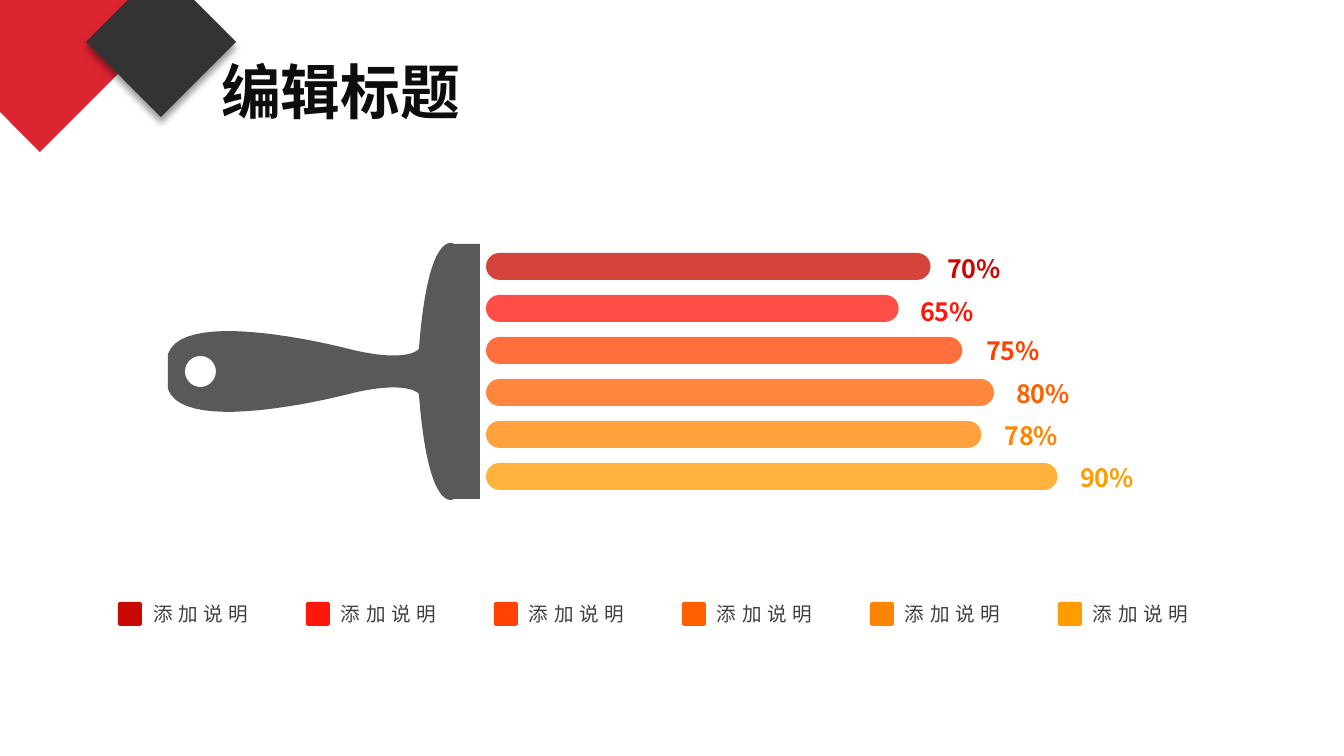
from dataclasses import dataclass
from math import cos, sin, tau

from lxml import etree
from pptx import Presentation
from pptx.dml.color import RGBColor
from pptx.enum.shapes import MSO_SHAPE
from pptx.enum.text import MSO_AUTO_SIZE
from pptx.oxml.ns import qn
from pptx.util import Pt

ROUNDED = MSO_SHAPE.ROUNDED_RECTANGLE
GROW = MSO_AUTO_SIZE.SHAPE_TO_FIT_TEXT
EMU_PER_PX = 914400 / 134.4


@dataclass(frozen=True)
class Theme:
    red: str = "DD2431"
    dark: str = "333333"
    brush: str = "595959"
    title: str = "0D0D0D"
    legend: str = "404040"
    shadow: str = "000000"
    latin: str = "Arial"
    chinese: str = "Noto Sans CJK SC"
    title_size: float = 32
    value_size: float = 13.5
    legend_size: float = 10.5
    bar_opacity: int = 76


THEME = Theme()
PAGE_SIZE = (1344, 756)
TITLE, TITLE_BOX = "编辑标题", (208, 48, 266, 86)

# percent, colour, value label (left, top, width), legend text
BARS = [
    (70, "C80900", (934, 247, 93), "添加说明"),
    (65, "FF170C", (907, 290, 118), "添加说明"),
    (75, "FF4200", (973, 329, 118), "添加说明"),
    (80, "FF6000", (1003, 372, 105), "添加说明"),
    (78, "FF8400", (991, 414, 106), "添加说明"),
    (90, "FF9C00", (1067, 456, 116), "添加说明"),
]
BAR_LEFT, BAR_TOP, BAR_PITCH, BAR_HEIGHT = 486, 253, 42, 27
PX_PER_PERCENT = 6.35
VALUE_HEIGHT = 44
LEGEND_LEFT, LEGEND_TOP, LEGEND_PITCH = 118, 602, 188
SWATCH, LEGEND_GAP, LEGEND_WIDTH = 24, 11, 126

# Upper half of the brush: start, Bezier curves, then the ferrule corners
BRUSH_START = (168, 354)
BRUSH_CURVES = [
    ((185, 305), (353, 350), (353, 350)),
    ((409, 363), (419, 349), (419, 349)),
    ((426, 257), (442, 244), (450, 243)),
    ((453, 243), (454, 244), (454, 244)),
]
BRUSH_CORNER = (480, 244)
BRUSH_MIDDLE = 371.5
HOLE_CENTRE, HOLE_RADIUS = (200.5, BRUSH_MIDDLE), 15.5

# centre x, centre y, half diagonal
RED_DIAMOND = (40, 32, 120)
DARK_DIAMOND = (161, 42, 75)


def emu(*lengths):
    return [round(length * EMU_PER_PX) for length in lengths]


def add_xml(parent, tag, **attributes):
    return etree.SubElement(parent, qn(tag), attributes)


def paint(shape, color, opacity=100):
    shape.shadow.inherit = False
    shape.line.fill.background()
    shape.fill.solid()
    shape.fill.fore_color.rgb = RGBColor.from_string(color)
    if opacity < 100:
        tone = shape.fill._xPr.find(".//" + qn("a:srgbClr"))
        add_xml(tone, "a:alpha", val=str(opacity * 1000))


def add_text(page, text, at, *, size, color, bold=False, latin=THEME.chinese,
             spacing=0, inset=None, wrap=True):
    box = page.shapes.add_textbox(*emu(*at))
    frame = box.text_frame
    frame.word_wrap, frame.auto_size = wrap, GROW
    if inset is not None:
        frame.margin_left = frame.margin_right = inset
        frame.margin_top = frame.margin_bottom = inset
    span = frame.paragraphs[0].add_run()
    span.text = text
    font = span.font
    font.size, font.bold, font.name = Pt(size), bold, latin
    font.color.rgb = RGBColor.from_string(color)
    properties = span._r.get_or_add_rPr()
    add_xml(properties, "a:ea", typeface=THEME.chinese)
    if spacing:
        properties.set("spc", str(spacing * 100))


def add_bar(page, at, color, rounding, opacity=100):
    bar = page.shapes.add_shape(ROUNDED, *emu(*at))
    bar.adjustments[0] = rounding
    paint(bar, color, opacity)


def add_outline(shapes, contours, color):
    """Draw closed contours as one shape; an inner contour is a hole."""
    builder = shapes.build_freeform(*emu(*contours[0][0]))
    for index, contour in enumerate(contours):
        if index:
            builder.move_to(*emu(*contour[0]))
        builder.add_line_segments([emu(*point) for point in contour[1:]])
    outline = builder.convert_to_shape()
    paint(outline, color)
    return outline


def bezier(start, first, second, end, steps=24):
    """Points along a cubic curve, without its start."""
    points = []
    for step in range(1, steps + 1):
        t = step / steps
        weights = ((1 - t) ** 3, 3 * t * (1 - t) ** 2, 3 * t * t * (1 - t), t ** 3)
        points.append([sum(w * p[axis] for w, p in zip(weights, (start, first, second, end)))
                       for axis in (0, 1)])
    return points


def add_brush(page):
    upper = [BRUSH_START]
    for curve in BRUSH_CURVES:
        upper += bezier(upper[-1], *curve)
    upper.append(BRUSH_CORNER)
    lower = [(x, 2 * BRUSH_MIDDLE - y) for x, y in reversed(upper)]
    x, y = HOLE_CENTRE
    hole = [(x + HOLE_RADIUS * cos(tau * i / 48), y - HOLE_RADIUS * sin(tau * i / 48))
            for i in range(48)]
    add_outline(page.shapes, [upper + lower + [BRUSH_START], hole + hole[:1]], THEME.brush)


def add_diamond(shapes, x, y, reach, color):
    corners = [(x, y + reach), (x - reach, y), (x, y - reach), (x + reach, y)]
    return add_outline(shapes, [corners + corners[:1]], color)


def add_corner(page):
    group = page.shapes.add_group_shape()
    add_diamond(group.shapes, *RED_DIAMOND, THEME.red)
    front = add_diamond(group.shapes, *DARK_DIAMOND, THEME.dark)
    effects = front._element.spPr.find(qn("a:effectLst"))
    shadow = add_xml(effects, "a:outerShdw", blurRad=str(Pt(4)), dist=str(Pt(3)),
                     dir="5400000", algn="t", rotWithShape="0")
    add_xml(add_xml(shadow, "a:srgbClr", val=THEME.shadow), "a:alpha", val="40000")


def main():
    deck = Presentation()
    deck.slide_width, deck.slide_height = emu(*PAGE_SIZE)
    page = deck.slides.add_slide(deck.slide_layouts[6])
    add_brush(page)
    for row, (percent, color, (left, top, width), legend) in enumerate(BARS):
        add_bar(page, (BAR_LEFT, BAR_TOP + row * BAR_PITCH,
                       percent * PX_PER_PERCENT, BAR_HEIGHT),
                color, 0.5, THEME.bar_opacity)
        add_text(page, f"{percent}%", (left, top, width, VALUE_HEIGHT),
                 size=THEME.value_size, color=color, bold=True)
        x = LEGEND_LEFT + row * LEGEND_PITCH
        add_bar(page, (x, LEGEND_TOP, SWATCH, SWATCH), color, 0.1)
        add_text(page, legend, (x + SWATCH + LEGEND_GAP, LEGEND_TOP, LEGEND_WIDTH, SWATCH),
                 size=THEME.legend_size, color=THEME.legend, spacing=3, inset=0)
    add_text(page, TITLE, TITLE_BOX, size=THEME.title_size, color=THEME.title,
             bold=True, latin=THEME.latin, wrap=False)
    add_corner(page)
    deck.save("out.pptx")


if __name__ == "__main__":
    main()
